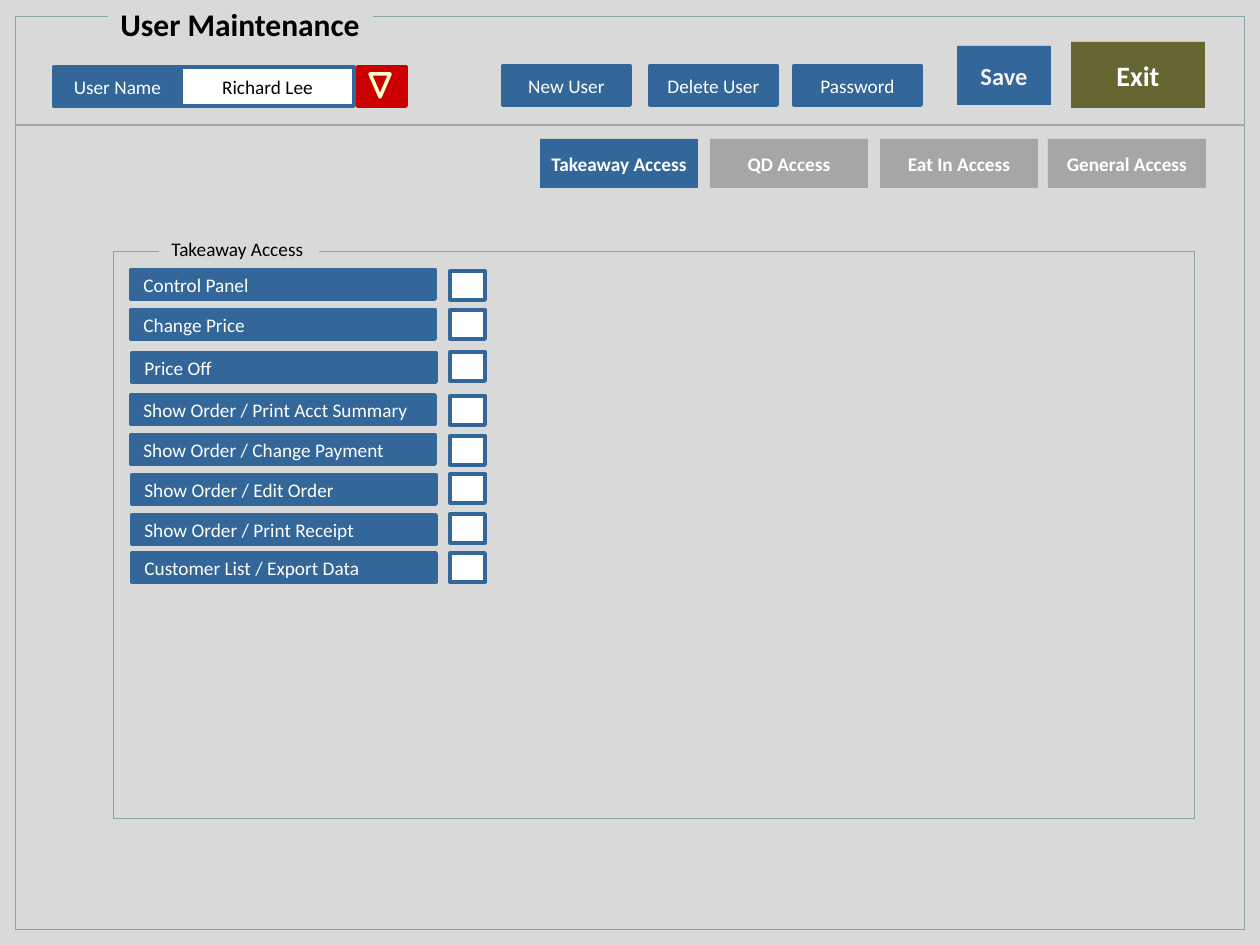
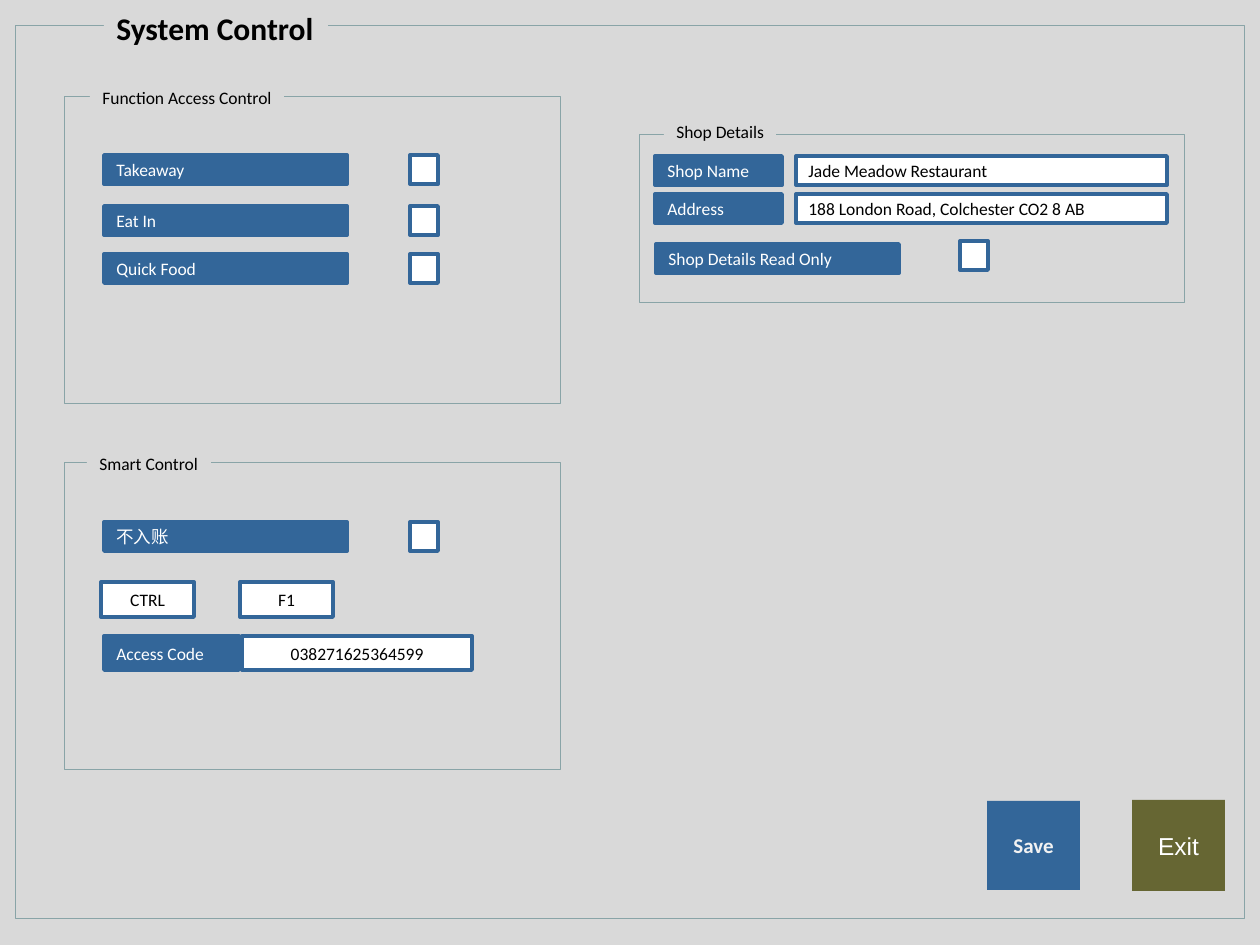
import pptx
import pptx.dml.color
import pptx.enum.shapes
import pptx.enum.text
import pptx.oxml.ns
import pptx.util
from lxml import etree

RGB = pptx.dml.color.RGBColor
SHAPE = pptx.enum.shapes.MSO_SHAPE
ALIGN = pptx.enum.text.PP_ALIGN
ANCHOR = pptx.enum.text.MSO_ANCHOR

GREY = RGB(0xD9, 0xD9, 0xD9)
MID_GREY = RGB(0xA6, 0xA6, 0xA6)
BLUE = RGB(0x33, 0x66, 0x99)
OLIVE = RGB(0x66, 0x66, 0x33)
RED = RGB(0xCC, 0x00, 0x00)
CREAM = RGB(0xFF, 0xFF, 0xCC)
TEAL = RGB(0x89, 0xA4, 0xA7)
WHITE = RGB(0xFF, 0xFF, 0xFF)
OFF_WHITE = RGB(0xF2, 0xF2, 0xF2)
BLACK = RGB(0x00, 0x00, 0x00)

PX_PER_INCH = 126
WIDTH, HEIGHT = 1260, 945
BORDER = 2.25
ROW_H = 29

# User maintenance: content and places in px
USER_BUTTONS = [("New User", 503), ("Delete User", 650), ("Password", 794)]
ACCESS_TABS = [("Takeaway Access", 540, BLUE), ("QD Access", 710, MID_GREY),
               ("Eat In Access", 880, MID_GREY), ("General Access", 1048, MID_GREY)]
TAKEAWAY_RIGHTS = [  # text, left, top, top of its check box
    ("Control Panel", 131, 270, 271),
    ("Change Price", 131, 310, 310),
    ("Price Off", 132, 353, 352),
    ("Show Order / Print Acct Summary", 131, 395, 396),
    ("Show Order / Change Payment", 131, 435, 436),
    ("Show Order / Edit Order", 132, 475, 474),
    ("Show Order / Print Receipt", 132, 515, 514),
    ("Customer List / Export Data", 132, 553, 553),
]

# System control: content and places in px
SWITCHES = [  # text, left, top, left and top of its check box
    ("Takeaway", 104, 155, 410, 155),
    ("Eat In", 104, 206, 410, 206),
    ("Quick Food", 104, 254, 410, 254),
    ("不入账", 104, 522, 410, 522),
    ("Shop Details Read Only", 656, 244, 960, 241),
]
SHOP_FIELDS = [("Shop Name", "Jade Meadow Restaurant", 156),
               ("Address", "188 London Road, Colchester CO2 8 AB", 194)]
SHORTCUT_KEYS = [("CTRL", 101), ("F1", 240)]
GROUPS = [  # caption, frame, caption box
    ("Function Access Control", (64, 96, 496, 307), (90, 81, 194, 34)),
    ("Shop Details", (639, 134, 546, 169), (664, 115, 112, 34)),
    ("Smart Control", (64, 462, 496, 308), (87, 447, 124, 34)),
]


def px(length):
    return round(length * 914400 / PX_PER_INCH)


def block(slide, box, fill=None, line=None, weight=BORDER, kind=SHAPE.RECTANGLE):
    shape = slide.shapes.add_shape(kind, *map(px, box))
    shape.shadow.inherit = False
    if fill is None:
        shape.fill.background()
    else:
        shape.fill.solid()
        shape.fill.fore_color.rgb = fill
    if line is None:
        shape.line.fill.background()
    else:
        shape.line.color.rgb = line
        shape.line.width = pptx.util.Pt(weight)
    return shape


def write(shape, text, size=11, color=WHITE, bold=False, font="Calibri",
          align=ALIGN.CENTER, anchor=ANCHOR.MIDDLE):
    frame = shape.text_frame
    frame.word_wrap = False
    frame.vertical_anchor = anchor
    paragraph = frame.paragraphs[0]
    paragraph.alignment = align
    run = paragraph.add_run()
    run.text = text
    run.font.name = font
    run.font.size = pptx.util.Pt(size)
    run.font.bold = bold
    run.font.color.rgb = color


def label(slide, text, box, **style):
    write(block(slide, box, BLUE, BLUE), text, **style)


def field(slide, text, box, **style):
    write(block(slide, box, WHITE, BLUE), text, color=BLACK, **style)


def check_box(slide, box):
    block(slide, box, WHITE, BLUE)


def button(slide, text, box, fill, **style):
    write(block(slide, box, fill), text, **style)


def captioned_frame(slide, caption, frame_box, caption_box, **style):
    block(slide, frame_box, line=TEAL, weight=0.5)
    write(block(slide, caption_box, GREY), caption, color=BLACK,
          align=ALIGN.LEFT, anchor=ANCHOR.TOP, **style)


def screen(deck, title, frame_box, title_box):
    slide = deck.slides.add_slide(deck.slide_layouts[6])
    block(slide, (0, 0, WIDTH, HEIGHT), GREY)
    captioned_frame(slide, title, frame_box, title_box, size=18, bold=True)
    return slide


def divider(slide, left, right, y):
    rule = slide.shapes.add_connector(pptx.enum.shapes.MSO_CONNECTOR.STRAIGHT,
                                      px(left), px(y), px(right), px(y))
    rule.line.color.rgb = MID_GREY
    rule.line.width = pptx.util.Pt(0.75)
    etree.SubElement(rule._element.spPr, pptx.oxml.ns.qn("a:effectLst"))


def user_maintenance(deck):
    slide = screen(deck, "User Maintenance", (15, 16, 1230, 913), (108, -1, 265, 50))
    divider(slide, 15, 1245, 125)

    # User picker with its drop-down arrow
    field(slide, "Richard Lee", (181, 67, 173, 39))
    label(slide, "User Name", (54, 67, 127, 39))
    block(slide, (358, 67, 48, 39), RED, RED)
    arrow = block(slide, (370, 74, 20, 23), RED, CREAM, 2, SHAPE.ISOSCELES_TRIANGLE)
    arrow.rotation = 180

    # Buttons and tabs
    for text, left in USER_BUTTONS:
        label(slide, text, (left, 66, 127, 39))
    button(slide, "Save", (957, 46, 94, 59), BLUE, size=14, bold=True, color=OFF_WHITE)
    button(slide, "Exit", (1071, 42, 134, 66), OLIVE, size=16, bold=True)
    for text, left, fill in ACCESS_TABS:
        button(slide, text, (left, 139, 158, 49), fill, bold=True)

    # Access rights
    captioned_frame(slide, "Takeaway Access", (113, 251, 1082, 568), (159, 231, 160, 36))
    for text, left, top, check_top in TAKEAWAY_RIGHTS:
        label(slide, text, (left, top, 304, ROW_H), align=ALIGN.LEFT)
        check_box(slide, (450, check_top, 35, ROW_H))


def system_control(deck):
    slide = screen(deck, "System Control", (15, 26, 1230, 893), (104, 3, 224, 50))
    for caption, frame_box, caption_box in GROUPS:
        captioned_frame(slide, caption, frame_box, caption_box, size=10)

    # Switches
    for text, left, top, check_left, check_top in SWITCHES:
        label(slide, text, (left, top, 243, ROW_H), size=10, align=ALIGN.LEFT)
        check_box(slide, (check_left, check_top, 28, ROW_H))

    # Shop details
    for name, value, top in SHOP_FIELDS:
        label(slide, name, (655, top, 127, ROW_H), size=10, align=ALIGN.LEFT)
        field(slide, value, (796, top, 371, ROW_H), size=10, align=ALIGN.LEFT)

    # Shortcut and access code
    for key, left in SHORTCUT_KEYS:
        field(slide, key, (left, 582, 93, 35), size=10)
    field(slide, "038271625364599", (242, 636, 230, 34), size=10)
    label(slide, "Access Code", (104, 636, 135, 34), size=10, align=ALIGN.LEFT)

    button(slide, "Save", (987, 801, 93, 89), BLUE, size=12, bold=True, color=OFF_WHITE)
    button(slide, "Exit", (1132, 800, 93, 91), OLIVE, size=14, font="Arial")


def main():
    deck = pptx.Presentation()
    deck.slide_width, deck.slide_height = px(WIDTH), px(HEIGHT)
    user_maintenance(deck)
    system_control(deck)
    deck.save("out.pptx")


if __name__ == "__main__":
    main()
